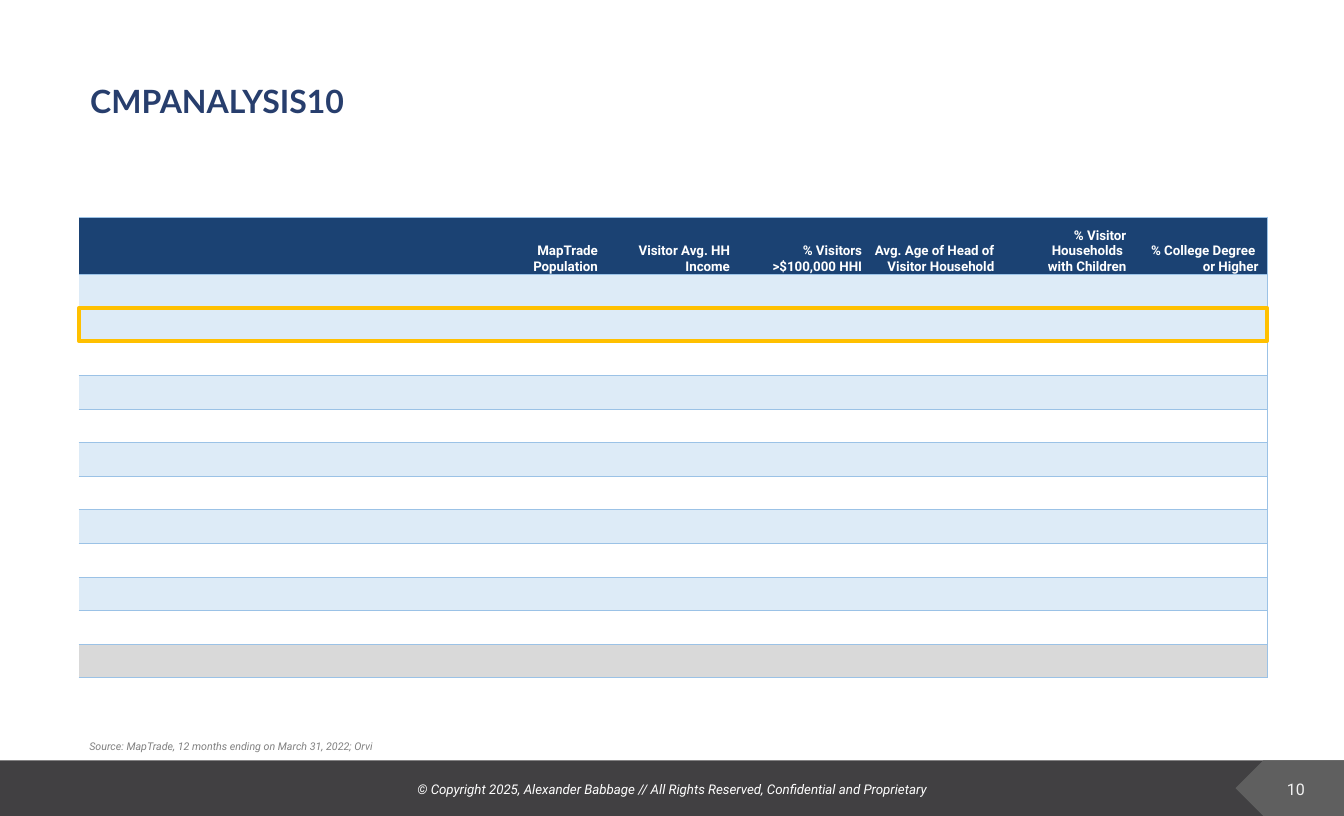
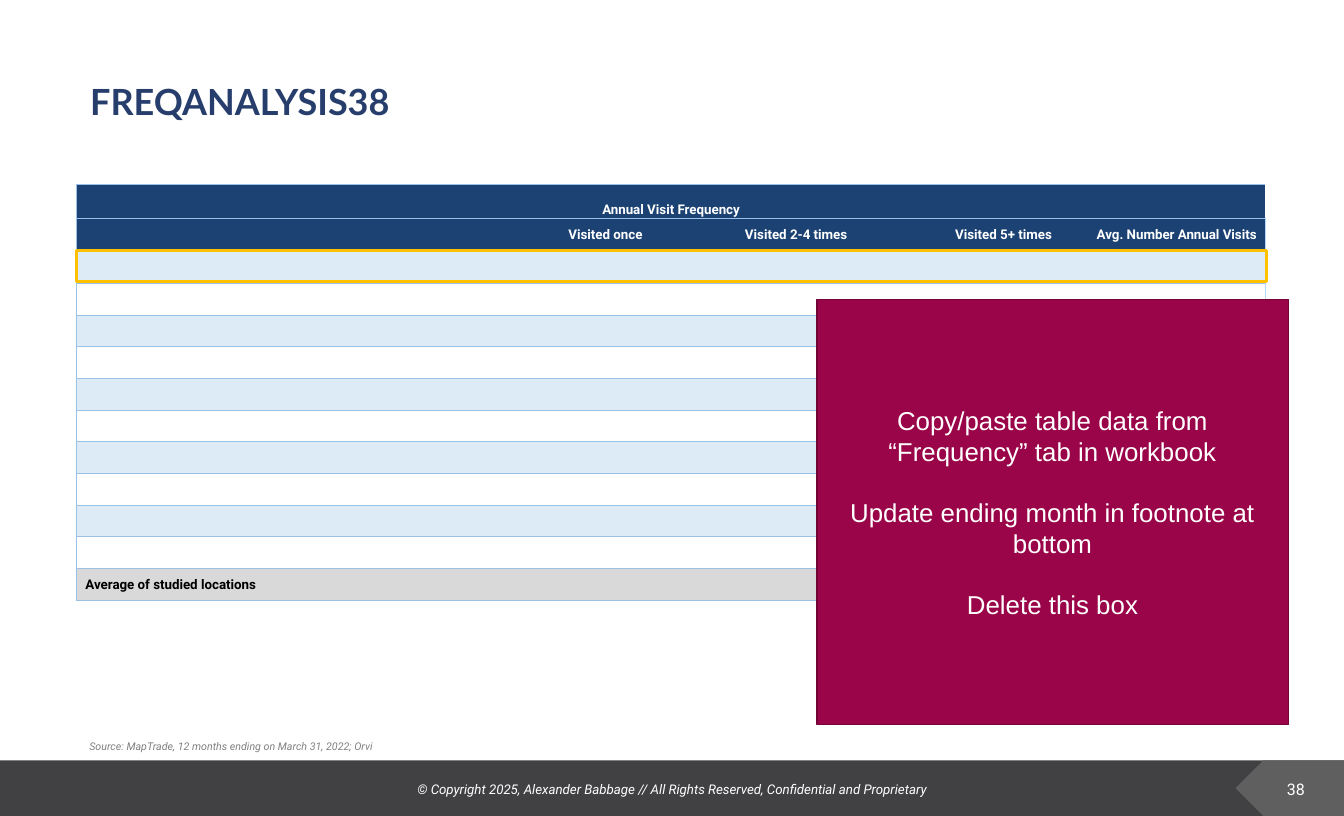
from lxml import etree
from pptx import Presentation
from pptx.dml.color import RGBColor
from pptx.enum.shapes import MSO_SHAPE
from pptx.enum.text import MSO_ANCHOR, PP_ALIGN
from pptx.oxml.ns import qn
from pptx.util import Inches, Pt

LEFT, CENTER, RIGHT = PP_ALIGN.LEFT, PP_ALIGN.CENTER, PP_ALIGN.RIGHT
MIDDLE, BOTTOM = MSO_ANCHOR.MIDDLE, MSO_ANCHOR.BOTTOM
RECT, PLATE = MSO_SHAPE.RECTANGLE, MSO_SHAPE.PENTAGON

NAVY, PALE, WHITE, GREY = "1B4273", "DDEBF7", "FFFFFF", "D9D9D9"
RULE, EDGE, GOLD = "9BC2E6", "B2D9F7", "FFC000"
INSET = (0.13, 0.06, 0.13, 0.06)
PLAIN = (0.1, 0.05, 0.1, 0.05)
CELL = (0.01, 0.01, 0.09, 0)

# Content
COPY = "© Copyright 2025, Alexander Babbage // All Rights Reserved, Confidential and Proprietary"
SOURCE = "Source: MapTrade, 12 months ending on March 31, 2022; Orvi"
TRADE = [
    [],
    ["MapTrade Population"],
    ["Visitor Avg. HH Income"],
    ["% Visitors", ">$100,000 HHI"],
    ["Avg. Age of Head of Visitor Household"],
    ["% Visitor", "Households ", "with Children"],
    ["% College Degree ", "or Higher"],
]
VISITS = [[], ["Visited once"], ["Visited 2-4 times"], ["Visited 5+ times"],
          ["Avg. Number Annual Visits"]]
BANNER = "Annual Visit Frequency"
AVERAGE = "Average of studied locations"
STEPS = ["Copy/paste table data from “Frequency” tab in workbook",
         "Update ending month in footnote at bottom",
         "Delete this box"]


def color(code):
    return RGBColor.from_string(code)


def write(frame, lines, size, code, font="Roboto", align=LEFT, anchor=MIDDLE,
          bold=False, italic=False, gap=0):
    frame.word_wrap = True
    frame.vertical_anchor = anchor
    for i, line in enumerate(lines):
        para = frame.add_paragraph() if i else frame.paragraphs[0]
        para.text = line
        para.alignment = align
        if i and gap:
            para.space_before = Pt(gap)
        face = para.font
        face.name, face.size, face.bold, face.italic = font, Pt(size), bold, italic
        face.color.rgb = color(code)


def pad(item, inset):
    (item.margin_left, item.margin_top,
     item.margin_right, item.margin_bottom) = map(Inches, inset)


def label(slide, box, text, size, code, inset=PLAIN, **style):
    frame = slide.shapes.add_textbox(*map(Inches, box)).text_frame
    pad(frame, inset)
    write(frame, [text], size, code, **style)


def block(slide, box, fill=None, line=None, width=1, kind=RECT):
    shape = slide.shapes.add_shape(kind, *map(Inches, box))
    shape.shadow.inherit = False
    if fill:
        shape.fill.solid()
        shape.fill.fore_color.rgb = color(fill)
    else:
        shape.fill.background()
    if line:
        shape.line.color.rgb = color(line)
        shape.line.width = Pt(width)
    else:
        shape.line.fill.background()
    return shape


def border(cell, **sides):
    """Draw the named sides as (colour, points) and clear the others."""
    props = cell._tc.get_or_add_tcPr()
    for side in "LRTB":
        edge = etree.SubElement(props, qn("a:ln" + side))
        if side in sides:
            code, width = sides[side]
            edge.set("w", str(Pt(width)))
            fill = etree.SubElement(edge, qn("a:solidFill"))
            etree.SubElement(fill, qn("a:srgbClr"), val=code)
        else:
            etree.SubElement(edge, qn("a:noFill"))


def grid(slide, box, first, cols, rows, fills, right, left=None):
    """Build an empty ruled table with equal columns after the first."""
    table = slide.shapes.add_table(len(rows), cols, *map(Inches, box)).table
    table.first_row = table.horz_banding = False
    for c, col in enumerate(table.columns):
        col.width = Inches((box[2] - first) / (cols - 1) if c else first)
    for r, row in enumerate(table.rows):
        row.height = Inches(rows[r])
        for c, cell in enumerate(row.cells):
            sides = {"T": (RULE, 0.5), "B": (RULE, 0.5)}
            if c == cols - 1:
                sides["R"] = (right, 0.5)
            if left and c == 0:
                sides["L"] = (left, 0.5)
            border(cell, **sides)
            cell.fill.solid()
            cell.fill.fore_color.rgb = color(fills[r])
            pad(cell, CELL)
            cell.text_frame.paragraphs[0].font.size = Pt(10)
    return table


def fill_cell(cell, lines, code=WHITE, align=RIGHT, anchor=MIDDLE, inset=CELL):
    write(cell.text_frame, lines, 10, code, align=align, bold=True)
    cell.vertical_anchor = anchor
    pad(cell, inset)


def heads(table, row, names, anchor):
    for c, lines in enumerate(names):
        if lines:
            fill_cell(table.cell(row, c), lines, anchor=anchor)


def page(deck, title, size, number, shade):
    """Add a slide with the shared title, source line and footer band."""
    slide = deck.slides.add_slide(deck.slide_layouts[6])
    block(slide, (0, 7.92, 14, 0.58), "414042")
    block(slide, (12.87, 7.92, 1.13, 0.58), "5F5F5F", kind=PLATE).rotation = 180
    label(slide, (1.25, 8.07, 11.5, 0.29), COPY, 10, WHITE, align=CENTER, italic=True)
    label(slide, (13, 8.09, 1, 0.25), number, 12, shade, align=CENTER)
    label(slide, (0.81, 0.34, 12.6, 1.42), title, size, "273E6D", INSET,
          font="Lato", bold=True)
    label(slide, (0.8, 7.58, 12.39, 0.32), SOURCE, 8, "808080", INSET,
          anchor=BOTTOM, italic=True)
    return slide


def trade(deck):
    slide = page(deck, "CMPANALYSIS10", 24, "10", "F2F2F2")
    fills = [NAVY, PALE] + [PALE, WHITE] * 5 + [GREY]
    table = grid(slide, (0.82, 2.26, 12.38, 4.8), 4.12, len(TRADE),
                 [0.6] + [0.35] * 12, fills, RULE)
    heads(table, 0, TRADE, BOTTOM)
    block(slide, (0.82, 3.21, 12.38, 0.34), line=GOLD, width=3)


def visits(deck):
    slide = page(deck, "FREQANALYSIS38", 27, "38", WHITE)
    fills = [NAVY] * 2 + [PALE, WHITE] * 5 + [GREY]
    table = grid(slide, (0.8, 1.92, 12.38, 4.33), 3.85, len(VISITS),
                 [0.35] * 2 + [0.33] * 11, fills, EDGE, RULE)
    # Banner across the top, then column heads and the average row
    table.cell(0, 0).merge(table.cell(0, len(VISITS) - 1))
    fill_cell(table.cell(0, 0), [BANNER], align=CENTER, anchor=BOTTOM,
              inset=(0.01, 0.01, 0.01, 0))
    heads(table, 1, VISITS, MIDDLE)
    fill_cell(table.cell(12, 0), [AVERAGE], "000000", LEFT,
              inset=(0.09, 0.01, 0.01, 0))
    block(slide, (0.8, 2.61, 12.39, 0.32), line=GOLD, width=2.25)
    # Instruction box
    note = block(slide, (8.51, 3.12, 4.91, 4.43), "990548", "710435")
    write(note.text_frame, STEPS, 19.4, WHITE, "Arial", CENTER, gap=22.3)


def main():
    deck = Presentation()
    deck.slide_width, deck.slide_height = Inches(14), Inches(8.5)
    trade(deck)
    visits(deck)
    deck.save("out.pptx")


if __name__ == "__main__":
    main()
